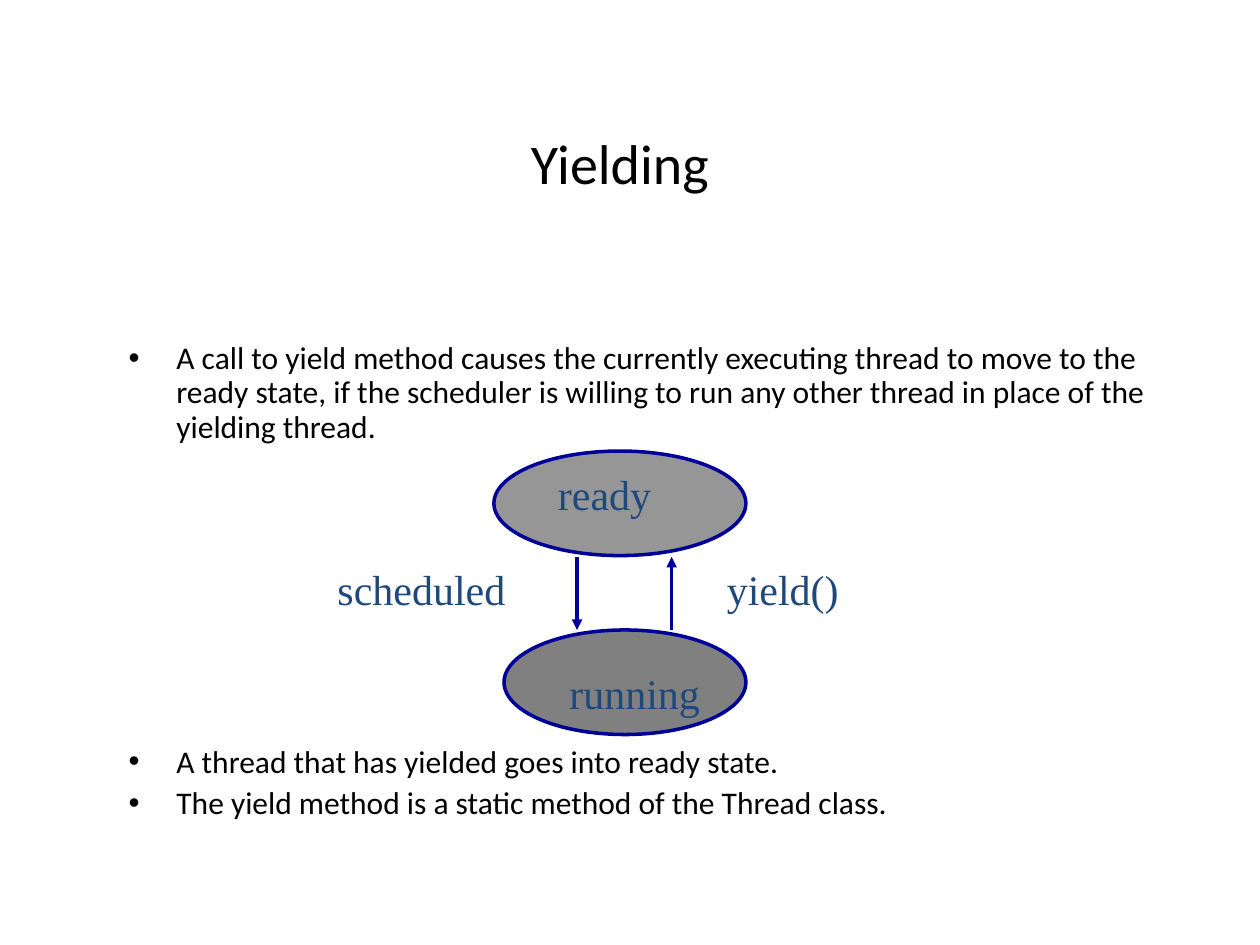
from lxml.etree import SubElement
from pptx import Presentation
from pptx.dml.color import RGBColor
from pptx.enum.shapes import MSO_CONNECTOR, MSO_SHAPE
from pptx.enum.text import MSO_ANCHOR, MSO_AUTO_SIZE, PP_ALIGN
from pptx.oxml.ns import qn
from pptx.util import Inches, Pt

COLORS = {"text": "000000", "label": "1F497D", "line": "000099",
          "ready": "969696", "running": "808080"}


class SlideBuilder:
    body_font, label_font = "Calibri", "Times New Roman"

    def __init__(self, prs):
        self.s = prs.slides.add_slide(prs.slide_layouts[1])
        self.diagram = self.s.shapes.add_group_shape().shapes

    def color(self, name):
        return RGBColor.from_string(COLORS[name])

    def place(self, shape, box):
        for name, value in zip(("left", "top", "width", "height"), box):
            setattr(shape, name, Inches(value))

    def add_text(self, p, text, font, size, color, **formats):
        r = p.add_run()
        r.text = text
        for name, value in {"name": font, "size": Pt(size)}.items():
            setattr(r.font, name, value)
        r.font.color.rgb = self.color(color)
        for name, value in formats.items():
            setattr(p, name, value)

    def title(self, text, box):
        sp = self.s.shapes.title
        self.place(sp, box)
        tf = sp.text_frame
        tf.auto_size = MSO_AUTO_SIZE.NONE
        tf.vertical_anchor = MSO_ANCHOR.MIDDLE
        self.add_text(tf.paragraphs[0], text, self.body_font, 32, "text",
                      alignment=PP_ALIGN.CENTER)

    def bullets(self, items, box):
        sp = self.s.placeholders[1]
        self.place(sp, box)
        tf = sp.text_frame
        tf.auto_size = MSO_AUTO_SIZE.NONE
        for i, (text, before) in enumerate(items):
            p = tf.add_paragraph() if i else tf.paragraphs[0]
            self.add_text(p, text, self.body_font, 18, "text",
                          line_spacing=0.9, space_before=Pt(before))
            pPr = p._p.get_or_add_pPr()
            pPr.set("marL", str(Inches(0.38)))
            pPr.set("indent", str(Inches(-0.38)))

    def outline(self, shape):
        shape.line.color.rgb = self.color("line")
        shape.line.width = Pt(2)

    def state(self, fill, box):
        sp = self.diagram.add_shape(MSO_SHAPE.OVAL, *map(Inches, box))
        sp.shadow.inherit = False
        sp.fill.solid()
        sp.fill.fore_color.rgb = self.color(fill)
        self.outline(sp)

    def arrow(self, x, start, end):
        line = self.diagram.add_connector(
            MSO_CONNECTOR.STRAIGHT, *map(Inches, (x, start, x, end)))
        self.outline(line)
        SubElement(line.line._get_or_add_ln(), qn("a:tailEnd"), type="triangle")
        SubElement(line._element.spPr, qn("a:effectLst"))

    def label(self, text, left, top, width):
        sp = self.diagram.add_textbox(*map(Inches, (left, top, width, 0.5)))
        tf = sp.text_frame
        tf.word_wrap = True
        tf.auto_size = MSO_AUTO_SIZE.SHAPE_TO_FIT_TEXT
        self.add_text(tf.paragraphs[0], text, self.label_font, 24, "label",
                      space_before=Pt(15))


def main():
    prs = Presentation()
    prs.slide_width, prs.slide_height = Inches(10), Inches(7.5)
    slide = SlideBuilder(prs)

    # Title and list; the second item leaves room for the diagram
    slide.title("Yielding", (0.67, 0.83, 8.5, 0.92))
    slide.bullets([
        ("A call to yield method causes the currently executing thread to "
         "move to the ready state, if the scheduler is willing to run any "
         "other thread in place of the yielding thread.", 4.5),
        ("A thread that has yielded goes into ready state.", 172),
        ("The yield method is a static method of the Thread class.", 4.5),
    ], (0.92, 2.67, 8.34, 4.58))

    # Thread states and the transitions between them
    ready_bottom, running_top = 4.42, 5
    slide.state("ready", (3.92, 3.58, 2, 0.83))
    slide.state("running", (4, running_top, 1.92, 0.83))
    slide.arrow(4.58, ready_bottom, running_top)
    slide.arrow(5.33, running_top, ready_bottom)

    # Labels
    for text, left, top, width in [("scheduled", 2.58, ready_bottom, 1.75),
                                   ("yield()", 5.67, ready_bottom, 1.75),
                                   ("running", 4.42, 5.25, 1.42),
                                   ("ready", 4.33, 3.67, 1.25)]:
        slide.label(text, left, top, width)

    prs.save("out.pptx")


if __name__ == "__main__":
    main()
